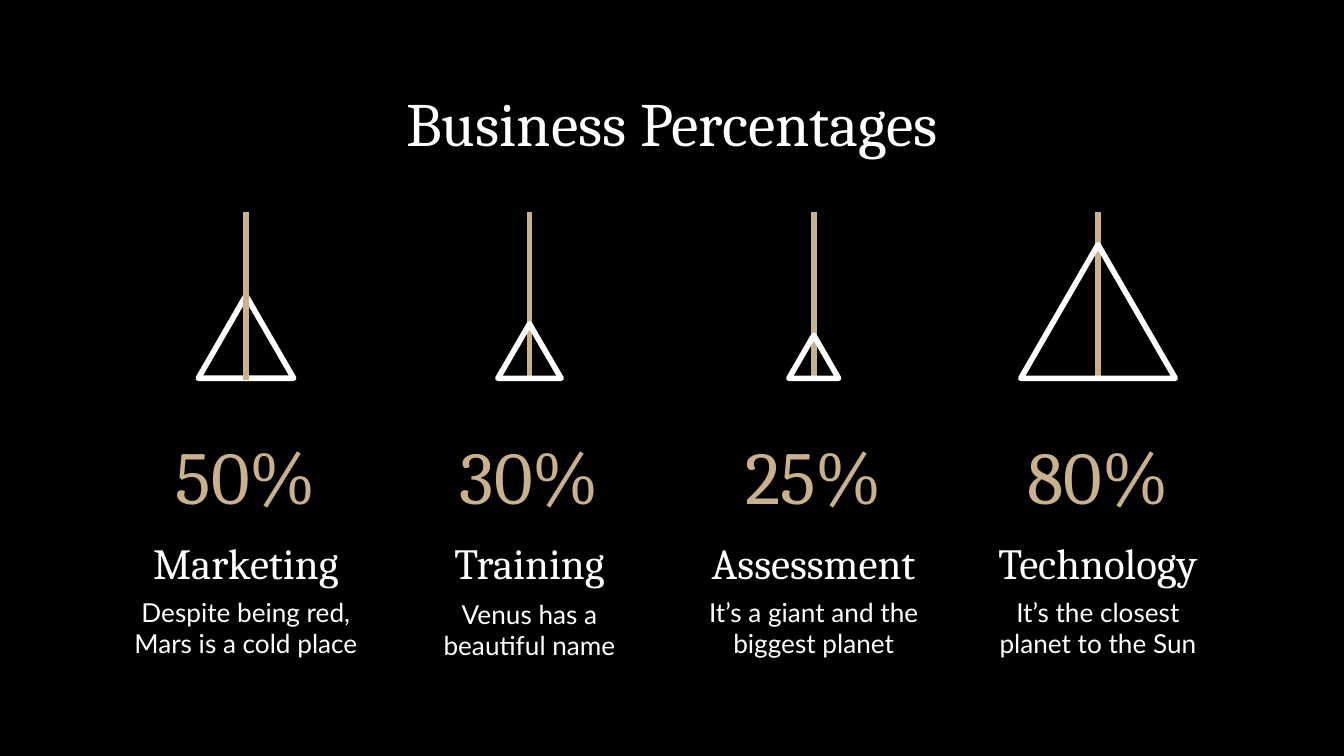
import dataclasses

import pptx
import pptx.dml.color
import pptx.enum.shapes
import pptx.enum.text
import pptx.oxml
import pptx.oxml.ns
import pptx.util

PX = 4572
MIDDLE = pptx.enum.text.MSO_ANCHOR.MIDDLE
TOP = pptx.enum.text.MSO_ANCHOR.TOP


@dataclasses.dataclass(frozen=True)
class Theme:
    black: str = "000000"
    white: str = "FFFFFF"
    gold: str = "C9B18E"
    serif: str = "Cambria"
    sans: str = "Lato"
    title: int = 33
    percent: int = 40
    heading: int = 23
    body: int = 14
    stroke: int = 3


@dataclasses.dataclass(frozen=True)
class TextStyle:
    font: str
    size: int
    color: str
    inset: int = 20
    anchor: int = TOP
    spacing: float = 1.0


@dataclasses.dataclass(frozen=True)
class Metric:
    percent: str
    heading: str
    lines: tuple[str, ...]
    body_top: int
    triangle: int
    line_in_front: bool = False


THEME = Theme()
TITLE = TextStyle(THEME.serif, THEME.title, THEME.white)
PERCENT = TextStyle(THEME.serif, THEME.percent, THEME.gold, 0, MIDDLE, 1.15)
HEADING = TextStyle(THEME.serif, THEME.heading, THEME.white)
BODY = TextStyle(THEME.sans, THEME.body, THEME.white, 30)

METRICS = (
    Metric("50%", "Marketing", ("Despite being red, Mars is a cold place",), 867, 142, True),
    Metric("30%", "Training", ("Venus has a", "beautiful name"), 870, 94),
    Metric("25%", "Assessment", ("It’s a giant and the biggest planet",), 867, 74),
    Metric("80%", "Technology", ("It’s the closest planet to the Sun",), 867, 230),
)
FIRST_CENTER, LAST_CENTER = 366, 1634
TRIANGLE_BASE = 563
TRIANGLE_RATIO = 0.866


def px(n: int) -> pptx.util.Emu:
    return pptx.util.Emu(n * PX)


def rgb(color: str) -> pptx.dml.color.RGBColor:
    return pptx.dml.color.RGBColor.from_string(color)


def apply(obj, values: dict) -> None:
    for name, value in values.items():
        setattr(obj, name, value)


def write(sp, lines: tuple[str, ...], style: TextStyle) -> None:
    tf = sp.text_frame
    apply(tf, {
        "word_wrap": True,
        "auto_size": pptx.enum.text.MSO_AUTO_SIZE.NONE,
        "vertical_anchor": style.anchor,
        "margin_left": px(style.inset),
        "margin_right": px(style.inset),
        "margin_top": px(20),
        "margin_bottom": px(20),
    })
    for i, line in enumerate(lines):
        p = tf.paragraphs[0] if i == 0 else tf.add_paragraph()
        apply(p, {
            "alignment": pptx.enum.text.PP_ALIGN.CENTER,
            "line_spacing": style.spacing,
            "space_before": pptx.util.Pt(0),
        })
        r = p.add_run()
        r.text = line
        apply(r.font, {"name": style.font, "size": pptx.util.Pt(style.size)})
        r.font.color.rgb = rgb(style.color)


def add_text(slide, center: int, top: int, width: int, height: int,
             lines: tuple[str, ...], style: TextStyle) -> None:
    sp = slide.shapes.add_textbox(px(center - width // 2), px(top), px(width), px(height))
    write(sp, lines, style)


def set_line(sp, color: str) -> None:
    sp.line.color.rgb = rgb(color)
    sp.line.width = pptx.util.Pt(THEME.stroke)


def add_triangle(slide, center: int, width: int) -> None:
    height = round(width * TRIANGLE_RATIO)
    sp = slide.shapes.add_shape(
        pptx.enum.shapes.MSO_SHAPE.ISOSCELES_TRIANGLE,
        px(center - width // 2), px(TRIANGLE_BASE - height), px(width), px(height))
    sp.shadow.inherit = False
    sp.fill.background()
    set_line(sp, THEME.white)
    ln = sp.line._get_or_add_ln()
    ln.append(pptx.oxml.parse_xml(f"<a:round {pptx.oxml.ns.nsdecls('a')}/>"))


def add_stem(slide, center: int) -> None:
    sp = slide.shapes.add_connector(
        pptx.enum.shapes.MSO_CONNECTOR.STRAIGHT, px(center), px(566), px(center), px(316))
    set_line(sp, THEME.gold)
    effects = pptx.oxml.parse_xml(f"<a:effectLst {pptx.oxml.ns.nsdecls('a')}/>")
    sp._element.spPr.append(effects)


def add_metric(slide, metric: Metric, center: int) -> None:
    add_text(slide, center, metric.body_top, 396, 134, metric.lines, BODY)
    add_text(slide, center, 779, 396, 104, (metric.heading,), HEADING)
    add_text(slide, center, 641, 232, 110, (metric.percent,), PERCENT)
    if metric.line_in_front:
        add_triangle(slide, center, metric.triangle)
        add_stem(slide, center)
    else:
        add_stem(slide, center)
        add_triangle(slide, center, metric.triangle)


def main() -> None:
    prs = pptx.Presentation()
    apply(prs, {"slide_width": px(2000), "slide_height": px(1125)})
    slide = prs.slides.add_slide(prs.slide_layouts[5])
    fill = slide.background.fill
    fill.solid()
    fill.fore_color.rgb = rgb(THEME.black)

    title = slide.shapes.title
    apply(title, {"left": px(150), "top": px(107), "width": px(1700), "height": px(158)})
    write(title, ("Business Percentages",), TITLE)

    span = LAST_CENTER - FIRST_CENTER
    for i, metric in enumerate(METRICS):
        add_metric(slide, metric, FIRST_CENTER + span * i // (len(METRICS) - 1))
    prs.save("out.pptx")


if __name__ == "__main__":
    main()
